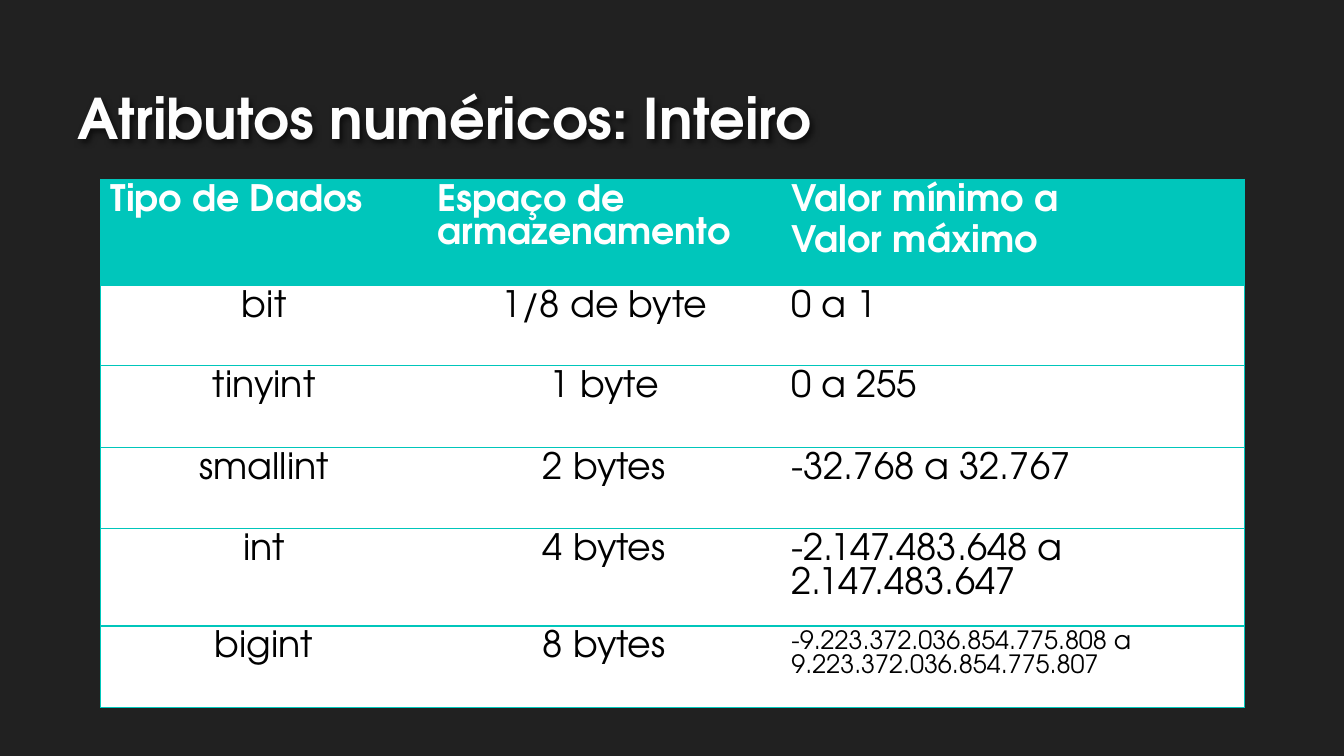
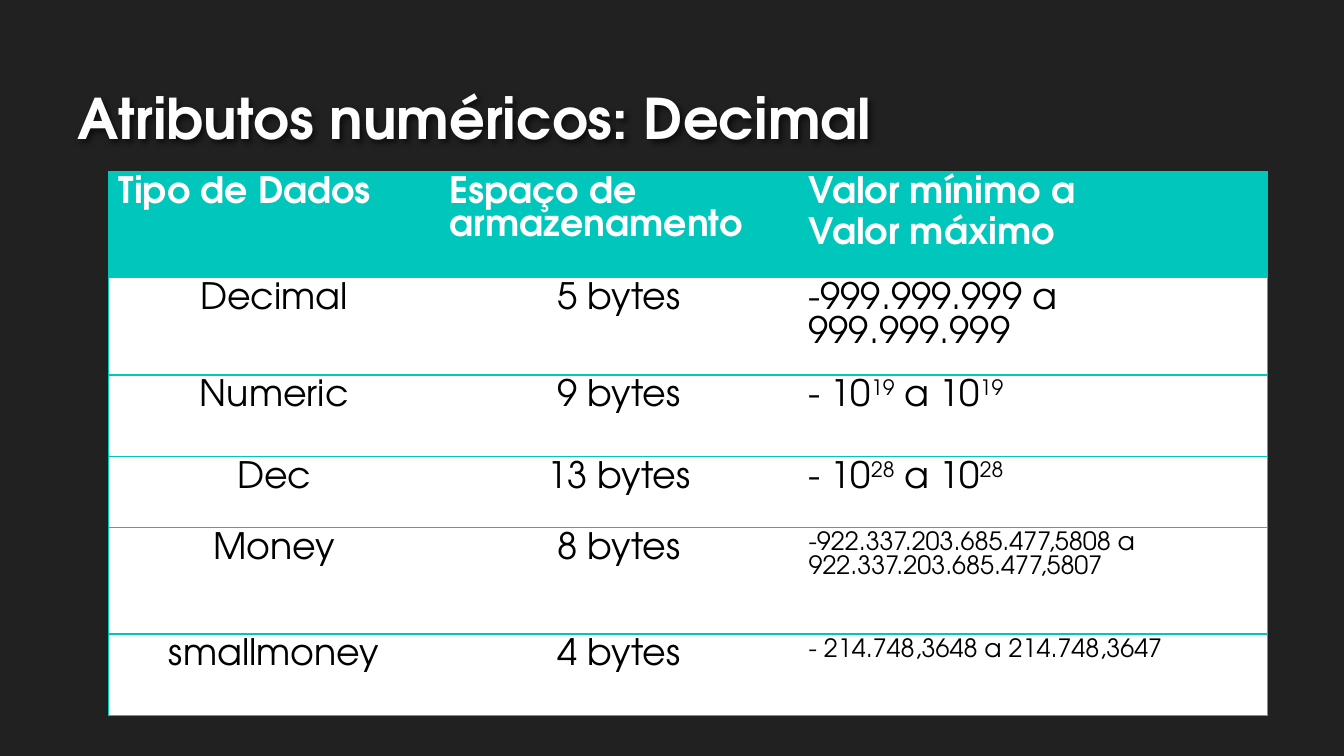
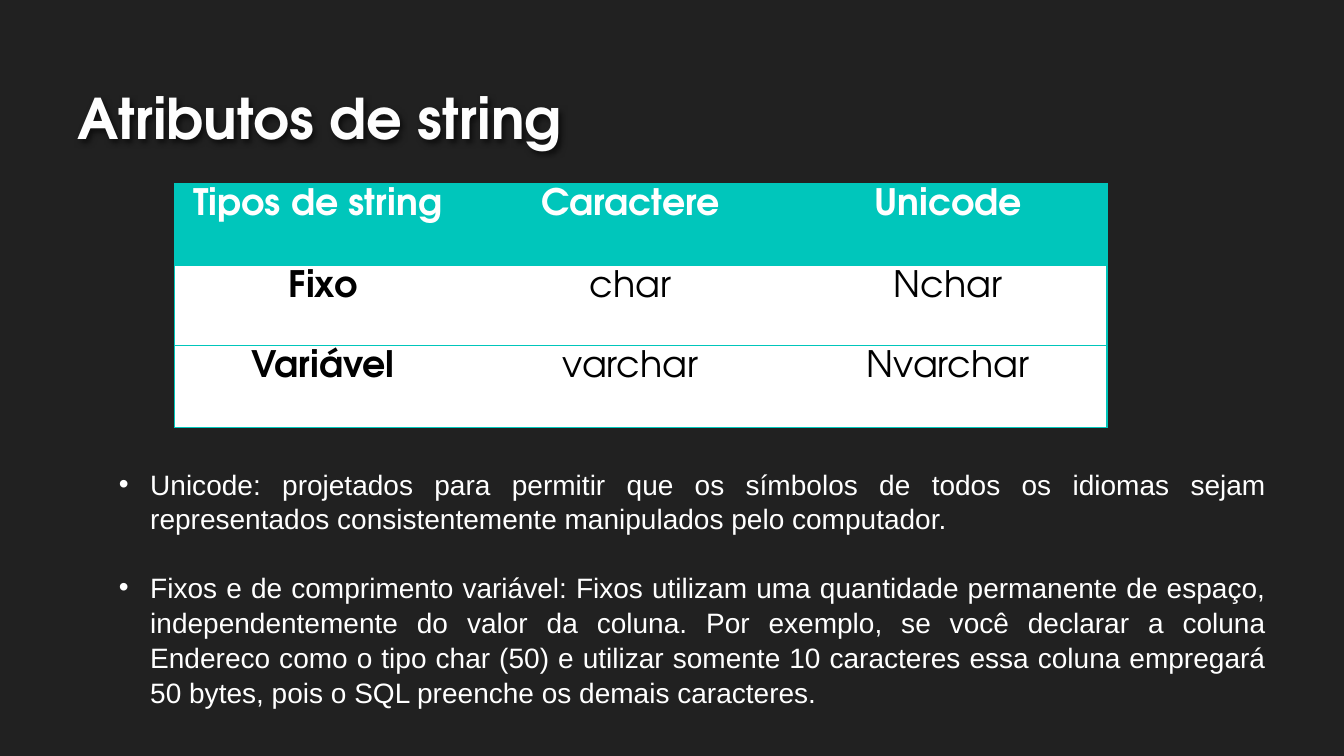
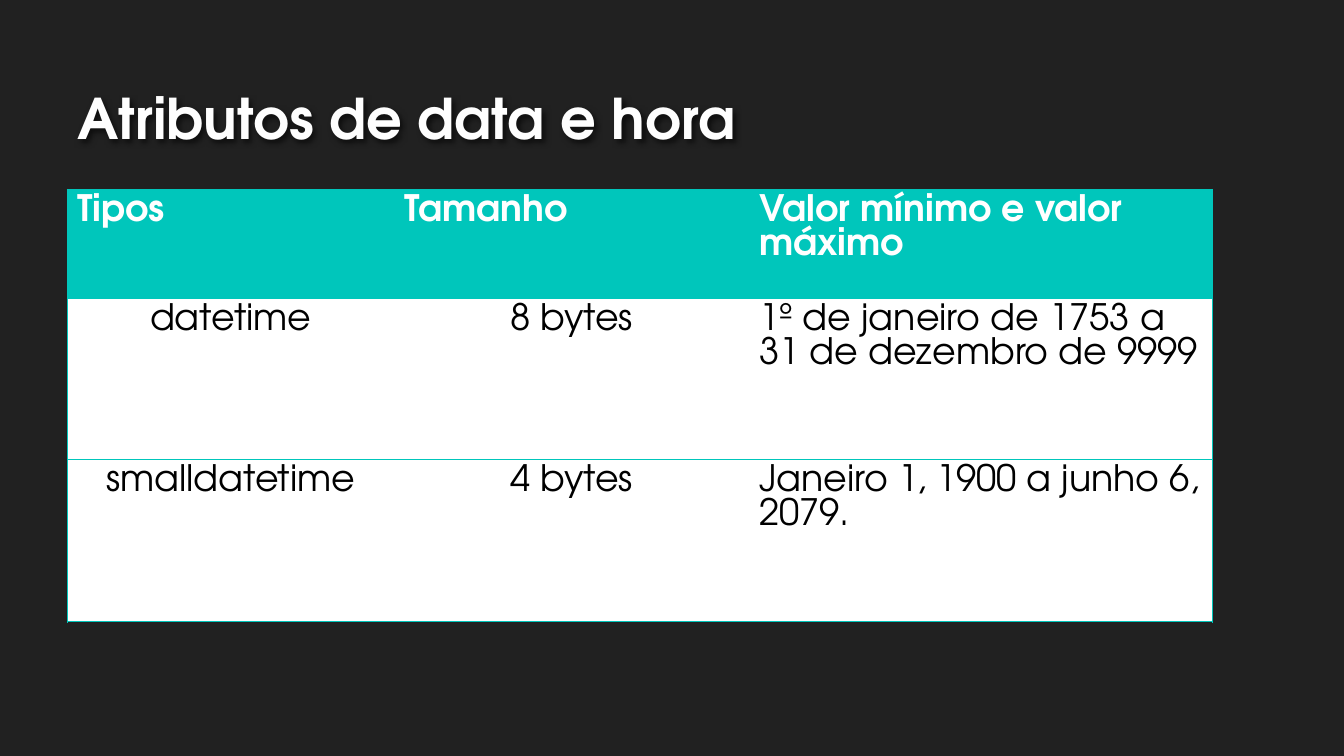
from lxml.etree import SubElement
from pptx import Presentation
from pptx.dml.color import RGBColor
from pptx.enum.text import MSO_ANCHOR, MSO_AUTO_SIZE, PP_ALIGN
from pptx.oxml import parse_xml
from pptx.oxml.ns import nsdecls, qn
from pptx.util import Inches, Pt

BACKGROUND = RGBColor(0x21, 0x21, 0x21)
TEAL = RGBColor(0x00, 0xC6, 0xBB)
WHITE = RGBColor(0xFF, 0xFF, 0xFF)
TITLE_WHITE = RGBColor(0xFE, 0xFE, 0xFE)
BLACK = RGBColor(0x00, 0x00, 0x00)
DISPLAY_FONT, BODY_FONT = "TeX Gyre Adventor", "Arial"
TABLE_SIZE, SMALL_SIZE = 26, 18

# In cells, "\n" starts a paragraph and ^...^ marks a superscript.
NUMERIC_HEADER = ["Tipo de Dados", "Espaço de armazenamento", "Valor mínimo a\nValor máximo"]
SMALL_RANGES = {"bigint", "Money", "smallmoney"}

SLIDES = [
    {
        "title": "Atributos numéricos: Inteiro",
        "origin": (1, 1.78),
        "columns": [3.24, 3.51, 4.59],
        "heights": [1.05, 0.8, 0.81, 0.8, 0.97, 0.81],
        "rows": [
            NUMERIC_HEADER,
            ["bit", "1/8 de byte", "0 a 1"],
            ["tinyint", "1 byte", "0 a 255"],
            ["smallint", "2 bytes", "-32.768 a 32.767"],
            ["int", "4 bytes", "-2.147.483.648 a 2.147.483.647"],
            ["bigint", "8 bytes", "-9.223.372.036.854.775.808 a 9.223.372.036.854.775.807"],
        ],
    },
    {
        "title": "Atributos numéricos: Decimal",
        "origin": (1.08, 1.7),
        "columns": [3.28, 3.56, 4.65],
        "heights": [1.05, 0.97, 0.81, 0.7, 1.06, 0.81],
        "rows": [
            NUMERIC_HEADER,
            ["Decimal", "5 bytes", "-999.999.999 a 999.999.999"],
            ["Numeric", "9 bytes", "- 10^19^ a 10^19^"],
            ["Dec", "13 bytes", "- 10^28^ a 10^28^"],
            ["Money", "8 bytes", "-922.337.203.685.477,5808 a 922.337.203.685.477,5807"],
            ["smallmoney", "4 bytes", "- 214.748,3648 a 214.748,3647"],
        ],
    },
    {
        "title": "Atributos de string",
        "origin": (1.73, 1.82),
        "columns": [2.95, 3.15, 3.15],
        "heights": [0.81, 0.8, 0.81],
        "centred": True,
        "rows": [
            ["Tipos de string ", "Caractere", "Unicode"],
            ["Fixo", "char", "Nchar"],
            ["Variável", "varchar", "Nvarchar"],
        ],
        "bullets": [
            "Unicode: projetados para permitir que os símbolos de todos os idiomas sejam "
            "representados consistentemente manipulados pelo computador.",
            "Fixos e de comprimento variável: Fixos utilizam uma quantidade permanente de espaço, "
            "independentemente do valor da coluna. Por exemplo, se você declarar a coluna Endereco "
            "como o tipo char (50) e utilizar somente 10 caracteres essa coluna empregará 50 bytes, "
            "pois o SQL preenche os demais caracteres.",
        ],
    },
    {
        "title": "Atributos de data e hora",
        "origin": (0.67, 1.88),
        "columns": [3.24, 3.52, 4.6],
        "heights": [1.08, 1.6, 1.61],
        "rows": [
            ["Tipos", "Tamanho", "Valor mínimo e valor máximo"],
            ["datetime", "8 bytes", "1º de janeiro de 1753 a 31 de dezembro de 9999"],
            ["smalldatetime", "4 bytes", "Janeiro 1, 1900 a junho 6, 2079."],
        ],
    },
]


def place(shape, left, top, width, height):
    shape.left, shape.top = Inches(left), Inches(top)
    shape.width, shape.height = Inches(width), Inches(height)


def add_run(paragraph, text, font, size, color, bold=False):
    run = paragraph.add_run()
    run.text = text
    run.font.name, run.font.size, run.font.bold = font, Pt(size), bold
    run.font.color.rgb = color
    return run


def set_borders(cell, sides):
    """Draw teal lines on the given sides and hide the others."""
    properties = cell._tc.get_or_add_tcPr()
    for position, side in enumerate("LRTB"):
        line = parse_xml(f'<a:ln{side} {nsdecls("a")} w="{Pt(1)}"/>')
        if side in sides:
            fill = SubElement(line, qn("a:solidFill"))
            SubElement(fill, qn("a:srgbClr"), val=str(TEAL))
        else:
            SubElement(line, qn("a:noFill"))
        properties.insert(position, line)


def fill_cell(cell, text, size, color, bold, alignment):
    frame = cell.text_frame
    for index, line in enumerate(text.split("\n")):
        paragraph = frame.add_paragraph() if index else frame.paragraphs[0]
        paragraph.alignment = alignment
        if index:
            paragraph.space_before = Pt(0.2 * size)
        for part, piece in enumerate(line.split("^")):
            if piece:
                run = add_run(paragraph, piece, DISPLAY_FONT, size, color, bold)
                if part % 2:
                    run.font._element.set("baseline", "30000")


def add_type_table(slide, content):
    rows, columns, heights = content["rows"], content["columns"], content["heights"]
    centred = content.get("centred", False)
    frame = slide.shapes.add_table(len(rows), len(columns), 0, 0, 0, 0)
    place(frame, *content["origin"], sum(columns), sum(heights))
    table = frame.table
    table.horz_banding = False
    for column, width in zip(table.columns, columns):
        column.width = Inches(width)
    last = len(columns) - 1
    for r, values in enumerate(rows):
        table.rows[r].height = Inches(heights[r])
        header = r == 0
        for c, text in enumerate(values):
            cell = table.cell(r, c)
            cell.fill.solid()
            cell.fill.fore_color.rgb = TEAL if header else WHITE
            set_borders(cell, "TB" + ("L" if c == 0 else "R" if c == last else ""))
            small = c == last and values[0] in SMALL_RANGES
            middle = centred or (not header and c < last)
            fill_cell(cell, text, SMALL_SIZE if small else TABLE_SIZE,
                      WHITE if header else BLACK,
                      header or (centred and c == 0),
                      PP_ALIGN.CENTER if middle else PP_ALIGN.LEFT)


def fill_title(title, text):
    frame = title.text_frame
    frame.vertical_anchor = MSO_ANCHOR.BOTTOM
    frame.auto_size = MSO_AUTO_SIZE.NONE
    paragraph = frame.paragraphs[0]
    paragraph.alignment = PP_ALIGN.LEFT
    add_run(paragraph, text, DISPLAY_FONT, 40, TITLE_WHITE, True)
    title._element.spPr.append(parse_xml(
        f'<a:effectLst {nsdecls("a")}><a:outerShdw blurRad="{Pt(4)}" dist="{Pt(2)}" dir="2700000">'
        '<a:srgbClr val="000000"><a:alpha val="60000"/></a:srgbClr></a:outerShdw></a:effectLst>'))


def fill_bullets(body, bullets):
    place(body, 1.08, 4.57, 11.58, 2.46)
    frame = body.text_frame
    frame.auto_size = MSO_AUTO_SIZE.NONE
    for index, text in enumerate(bullets):
        paragraph = frame.add_paragraph() if index else frame.paragraphs[0]
        paragraph.alignment = PP_ALIGN.JUSTIFY
        paragraph.line_spacing = 1.04
        paragraph.space_before = Pt(24 if index else 0)
        properties = paragraph._p.get_or_add_pPr()
        properties.set("marL", str(Inches(0.31)))
        properties.set("indent", str(-Inches(0.31)))
        color = SubElement(properties, qn("a:buClr"))
        SubElement(color, qn("a:srgbClr"), val=str(WHITE))
        SubElement(properties, qn("a:buFont"), typeface=BODY_FONT)
        SubElement(properties, qn("a:buChar"), char="•")
        add_run(paragraph, text, BODY_FONT, 20, WHITE)


def main():
    presentation = Presentation()
    presentation.slide_width, presentation.slide_height = Inches(13.33), Inches(7.5)
    master = presentation.slide_master
    master.background.fill.solid()
    master.background.fill.fore_color.rgb = BACKGROUND
    place(master.placeholders[0], 0.67, 0.13, 11, 1.42)
    list_layout = presentation.slide_layouts.get_by_name("Title and Content")
    title_layout = presentation.slide_layouts.get_by_name("Title Only")

    for content in SLIDES:
        bullets = content.get("bullets")
        slide = presentation.slides.add_slide(list_layout if bullets else title_layout)
        fill_title(slide.shapes.title, content["title"])
        add_type_table(slide, content)
        if bullets:
            fill_bullets(slide.placeholders[1], bullets)
    presentation.save("out.pptx")


if __name__ == "__main__":
    main()
